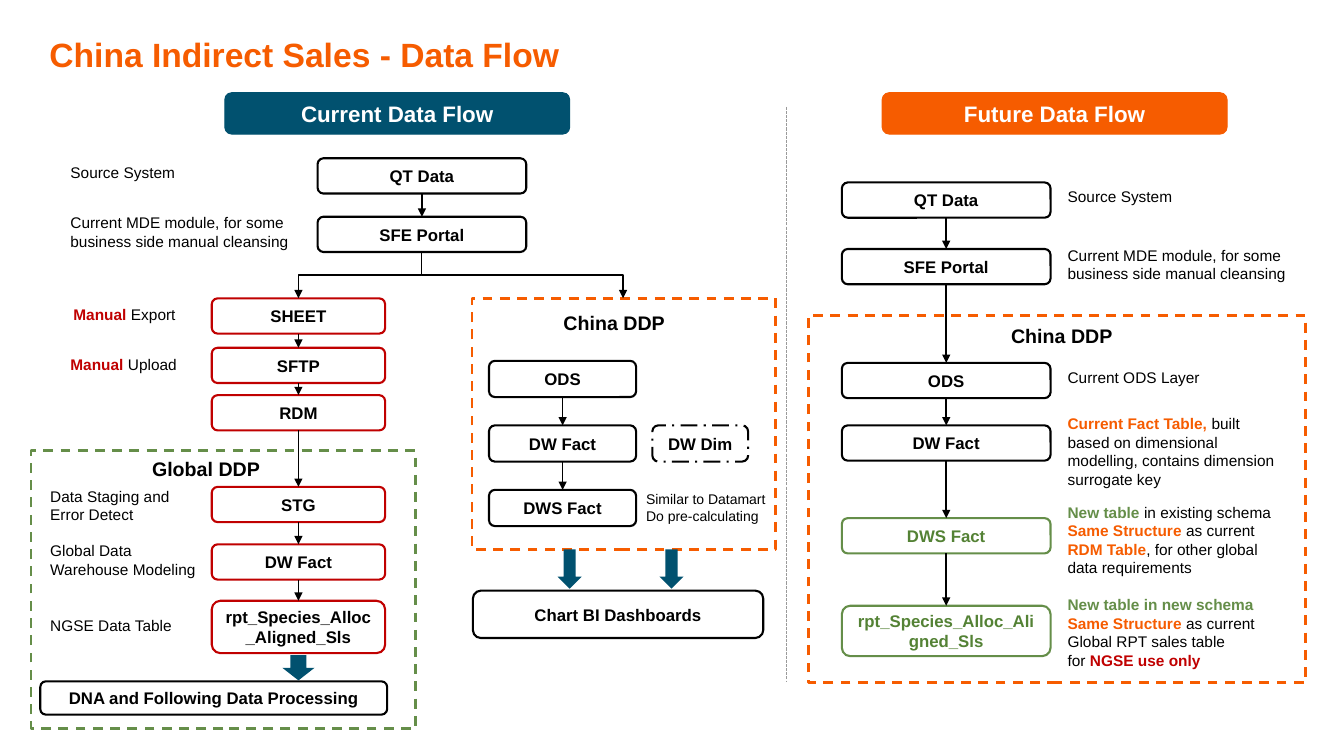
"""Build the China indirect sales data flow slide."""
from itertools import pairwise
from lxml.etree import SubElement
from pptx import Presentation
from pptx.dml.color import RGBColor
from pptx.enum.dml import MSO_LINE
from pptx.enum.shapes import MSO_CONNECTOR, MSO_SHAPE
from pptx.enum.text import MSO_ANCHOR, MSO_AUTO_SIZE, PP_ALIGN
from pptx.oxml.ns import qn
from pptx.util import Inches, Pt

THEME = {
    "font": "Arial",
    "title": 24, "head": 16, "group": 14, "node": 12, "note": 11, "small": 10,
    "black": "000000", "white": "FFFFFF", "orange": "F65C00", "teal": "01516F",
    "green": "658E49", "leaf": "548235", "red": "C00000", "gray": "9A9A9A",
}
KINDS = {
    "plain": ("black", "black", None),
    "manual": ("red", "black", None),
    "new": ("green", "leaf", None),
    "dim": ("black", "black", MSO_LINE.LONG_DASH_DOT),
}
TITLE = "China Indirect Sales - Data Flow"
HEADS = [("Current Data Flow", 2.23, "teal"), ("Future Data Flow", 8.75, "orange")]
REPORT = "rpt_Species_Alloc_Aligned_Sls"

# Each stack: left, width, nodes of (text, top, height, kind)
STACKS = [
    (8.35, 2.07, [("QT Data", 1.81, 0.35, "plain"), ("SFE Portal", 2.47, 0.35, "plain"),
                  ("ODS", 3.6, 0.35, "plain"), ("DW Fact", 4.22, 0.35, "plain"),
                  ("DWS Fact", 5.14, 0.35, "new"), (REPORT, 6.01, 0.5, "new")]),
    (3.15, 2.07, [("QT Data", 1.57, 0.35, "plain"), ("SFE Portal", 2.15, 0.35, "plain")]),
    (2.1, 1.72, [("SHEET", 2.96, 0.35, "manual"), ("SFTP", 3.45, 0.35, "manual"),
                 ("RDM", 3.92, 0.35, "manual"), ("STG", 4.83, 0.35, "manual"),
                 ("DW Fact", 5.4, 0.35, "manual"), (REPORT, 5.96, 0.52, "manual")]),
    (4.85, 1.46, [("ODS", 3.58, 0.36, "plain"), ("DW Fact", 4.22, 0.36, "plain"),
                  ("DWS Fact", 4.86, 0.36, "plain")]),
    (6.47, 0.95, [("DW Dim", 4.22, 0.36, "dim")]),
    (4.69, 2.88, [("Chart BI Dashboards", 5.86, 0.47, "plain")]),
    (0.4, 3.44, [("DNA and Following Data Processing", 6.76, 0.33, "plain")]),
]
FRAMES = [
    (8.02, 3.13, 4.93, 3.64, "orange"),
    (4.68, 2.96, 3.01, 2.49, "orange"),
    (0.31, 4.47, 3.81, 2.76, "green"),
]
GROUPS = [("China DDP", 9.93, 3.16), ("China DDP", 5.49, 3.04), ("Global DDP", 1.41, 4.48)]
BLOCKS = [(5.53, 5.45, 0.24, 0.39), (6.54, 5.45, 0.24, 0.39), (2.8, 6.5, 0.32, 0.25)]
FORKS = [((4.18, 2.5), (2.96, 2.96)), ((4.18, 2.5), (6.18, 2.96))]

SOURCE = ["Source System"]
MODULE = ["Current MDE module, for some business side manual cleansing"]
NOTES = [
    (10.49, 1.81, 1.29, 0.29, SOURCE),
    (10.49, 2.39, 2.46, 0.47, MODULE),
    (10.49, 3.6, 2.34, 0.29, ["Current ODS Layer"]),
    (10.49, 4.06, 2.34, 0.84, [
        [("Current Fact Table, ", "orange"),
         ("built based on dimensional modelling, contains dimension surrogate key", "black")]]),
    (10.49, 4.94, 2.34, 0.84, [
        [("New table ", "green"), ("in existing schema", "black")],
        [("Same Structure", "orange"), (" as current ", "black"), ("RDM Table", "orange"),
         (", for other global data requirements", "black")]]),
    (10.49, 5.86, 2.07, 0.84, [
        [("New table in new schema", "green")],
        [("Same Structure", "orange"), (" as current Global RPT sales table", "black")],
        [("for ", "black"), ("NGSE use only", "red")]]),
    (0.6, 1.57, 1.29, 0.29, SOURCE),
    (0.6, 2.07, 2.46, 0.47, MODULE),
    (0.63, 2.98, 1.27, 0.29, [[("Manual", "red"), (" Export", "black")]]),
    (0.6, 3.47, 1.27, 0.29, [[("Manual", "red"), (" Upload", "black")]]),
    (0.4, 4.78, 1.5, 0.47, ["Data Staging and Error Detect"]),
    (0.4, 5.32, 1.67, 0.47, ["Global Data Warehouse Modeling"]),
    (0.4, 6.06, 1.67, 0.29, ["NGSE Data Table"]),
]
SMALL = (6.31, 4.82, 1.53, 0.44, ["Similar to Datamart", "Do pre-calculating"])


def tint(name):
    return RGBColor.from_string(THEME[name])


def style(font, color, bold):
    font.color.rgb = tint(color)
    font.bold = bold


def write(frame, lines, size, color="black", bold=False, align=None):
    frame.word_wrap = True
    for i, line in enumerate(lines):
        para = frame.paragraphs[0] if i == 0 else frame.add_paragraph()
        para.alignment = align
        para.font.name = THEME["font"]
        para.font.size = Pt(THEME[size])
        if isinstance(line, str):
            para.add_run().text = line
            style(para.font, color, bold)
            continue
        for text, ink in line:
            run = para.add_run()
            run.text = text
            style(run.font, ink, ink != "black")


def trim(frame):
    frame.margin_left = frame.margin_right = frame.margin_top = frame.margin_bottom = 0


def label(shapes, area, lines, size, **look):
    box = shapes.add_textbox(*map(Inches, area))
    write(box.text_frame, lines, size, **look)
    box.text_frame.auto_size = MSO_AUTO_SIZE.SHAPE_TO_FIT_TEXT
    return box.text_frame


def block(shapes, form, area, fill=None, edge=None, width=1.5, dash=None):
    part = shapes.add_shape(form, *map(Inches, area))
    part.shadow.inherit = False
    for paint, color in ((part.fill, fill), (part.line.fill, edge)):
        if color:
            paint.solid()
            paint.fore_color.rgb = tint(color)
        else:
            paint.background()
    if edge:
        part.line.width = Pt(width)
    if dash:
        part.line.dash_style = dash
    return part


def link(shapes, start, end, form=MSO_CONNECTOR.STRAIGHT, color="black", width=1.25, dash=None):
    wire = shapes.add_connector(form, *map(Inches, (*start, *end)))
    wire.line.color.rgb = tint(color)
    wire.line.width = Pt(width)
    if dash:
        wire.line.dash_style = dash
    else:
        SubElement(wire.line._get_or_add_ln(), qn("a:tailEnd"), type="triangle")
    SubElement(wire._element.spPr, qn("a:effectLst"))
    return wire


def fork(shapes, start, end):
    (x1, y1), (x2, y2) = start, end
    mid, row = (x1 + x2) / 2, (y1 + y2) / 2
    half, rise = (y2 - y1) / 2, abs(x2 - x1) / 2
    side = 1 if x2 < x1 else -1
    wire = link(shapes, (mid - side * half, row - rise), (mid + side * half, row + rise),
                MSO_CONNECTOR.ELBOW)
    wire._element.spPr.find(qn("a:xfrm")).set("rot", str(90 * side % 360 * 60000))


def stack(shapes, left, width, nodes):
    boxes = []
    for text, top, height, kind in nodes:
        edge, ink, dash = KINDS[kind]
        box = block(shapes, MSO_SHAPE.ROUNDED_RECTANGLE, (left, top, width, height),
                    "white", edge, dash=dash)
        write(box.text_frame, [text], "node", ink, True, PP_ALIGN.CENTER)
        boxes.append(box)
    for upper, lower in pairwise(boxes):
        wire = link(shapes, (left, 0), (left, 1))
        wire.begin_connect(upper, 2)
        wire.end_connect(lower, 0)


def main():
    deck = Presentation()
    deck.slide_width, deck.slide_height = Inches(13.33), Inches(7.5)
    shapes = deck.slides.add_slide(deck.slide_layouts[6]).shapes

    title = label(shapes, (0.49, 0.38, 12.35, 0.36), [TITLE], "title", color="orange", bold=True)
    trim(title)
    title.vertical_anchor = MSO_ANCHOR.BOTTOM
    title.paragraphs[0].line_spacing = 0.9
    for text, left, color in HEADS:
        head = block(shapes, MSO_SHAPE.ROUNDED_RECTANGLE, (left, 0.92, 3.42, 0.41),
                     color, color, 0.75)
        trim(head.text_frame)
        write(head.text_frame, [text], "head", "white", True, PP_ALIGN.CENTER)
    link(shapes, (7.8, 1.06), (7.8, 6.77), color="gray", width=0.75, dash=MSO_LINE.SQUARE_DOT)

    for *area, color in FRAMES:
        block(shapes, MSO_SHAPE.RECTANGLE, area, edge=color, width=1.75, dash=MSO_LINE.DASH)
    for group in STACKS:
        stack(shapes, *group)
    for start, end in FORKS:
        fork(shapes, start, end)
    for area in BLOCKS:
        block(shapes, MSO_SHAPE.DOWN_ARROW, area, "teal")
    for text, left, top in GROUPS:
        label(shapes, (left, top, 1.46, 0.34), [text], "group", bold=True)
    for *area, lines in NOTES:
        label(shapes, area, lines, "note")
    *area, lines = SMALL
    label(shapes, area, lines, "small")
    deck.save("out.pptx")


if __name__ == "__main__":
    main()
